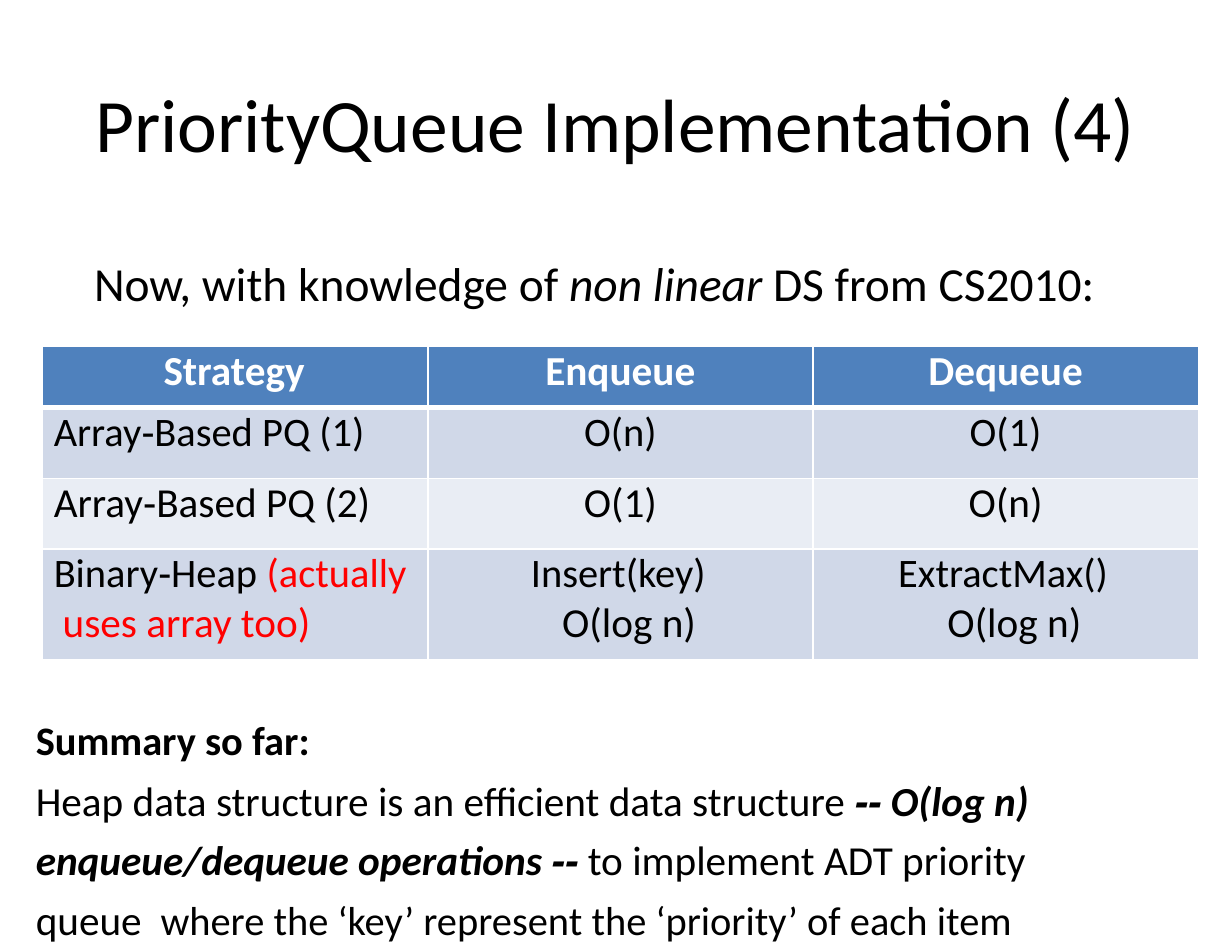
from lxml.etree import SubElement
from pptx import Presentation
from pptx.dml.color import RGBColor
from pptx.enum.text import PP_ALIGN
from pptx.oxml.ns import qn
from pptx.util import Inches, Pt


def color(hex_value):
    return RGBColor.from_string(hex_value)


def write(paragraph, runs, left=0, first=0, **formats):
    """Fill a paragraph with (text, size, font values) runs; "\\n" breaks the line."""
    for name, value in formats.items():
        setattr(paragraph, name, value)
    if left:
        properties = paragraph._p.get_or_add_pPr()
        properties.set("marL", str(Inches(left)))
        properties.set("indent", str(Inches(first)))
    for text, size, font_values in runs:
        if text == "\n":
            paragraph.add_line_break()
            continue
        run = paragraph.add_run()
        run.text = text
        values = {"name": "Calibri", "size": Pt(size), "bold": False, **font_values}
        font_color = values.pop("color", "000000")
        for name, value in values.items():
            setattr(run.font, name, value)
        run.font.color.rgb = color(font_color)


presentation = Presentation()
presentation.slide_width = Inches(11)
presentation.slide_height = Inches(8.5)
slide = presentation.slides.add_slide(presentation.slide_layouts[6])

BOLD = {"bold": True}
ITALIC = {"italic": True}
BOLD_ITALIC = {"bold": True, "italic": True}
RED = {"color": "FF0000"}
HEADER = {"bold": True, "color": "FFFFFF"}
BREAK = ("\n", 0, {})
NO_MARGINS = dict.fromkeys(
    ("margin_left", "margin_top", "margin_right", "margin_bottom"), 0)

# Title, lead-in and summary: position, then paragraphs as (runs, formats)
text_boxes = [
    ((0.84, 0.69, 9.31, 0.86), [
        ([("PriorityQueue Implementation (4)", 48.5, {})], {}),
    ]),
    ((0.83, 2.27, 9.05, 0.54), [
        ([("Now, with knowledge of ", 30.5, {}),
          ("non linear ", 30.5, ITALIC),
          ("DS from CS2010:", 30.5, {})], {}),
    ]),
    ((0.31, 6.3, 9.83, 1.79), [
        ([("Summary so far:", 26, BOLD)], {"line_spacing": 1.2}),
        ([("Heap data structure is an efficient data structure ", 26.5, {}),
          ("‐‐ O(log n) enqueue/dequeue operations ‐‐ ", 26.5, BOLD_ITALIC),
          ("to implement ADT priority queue  ", 26.5, {}),
          ("where the ‘key’ represent the ‘priority’ of each item", 26, {})],
         {"line_spacing": 1.2, "space_before": Pt(1.1)}),
    ]),
]
for position, paragraphs in text_boxes:
    text_frame = slide.shapes.add_textbox(*map(Inches, position)).text_frame
    for name, value in {**NO_MARGINS, "word_wrap": True}.items():
        setattr(text_frame, name, value)
    for index, (runs, formats) in enumerate(paragraphs):
        paragraph = text_frame.add_paragraph() if index else text_frame.paragraphs[0]
        write(paragraph, runs, left=0.01, **formats)

# Table cells as (runs, formats)
CENTER = {"alignment": PP_ALIGN.CENTER}
STRATEGY = {"left": 0.1}
rows = [
    [([("Strategy", 26.5, HEADER)], {"left": 1.08}),
     ([("Enqueue", 26.5, HEADER)], CENTER),
     ([("Dequeue", 26.5, HEADER)], CENTER)],
    [([("Array‐Based PQ (1)", 26, {})], STRATEGY),
     ([("O(n)", 26, {})], CENTER),
     ([("O(1)", 26, {})], CENTER)],
    [([("Array‐Based PQ (2)", 26.5, {})], STRATEGY),
     ([("O(1)", 26.5, {})], CENTER),
     ([("O(n)", 26.5, {})], CENTER)],
    [([("Binary‐Heap ", 26, {}), ("(actually", 26, RED), BREAK,
       ("uses array too)", 26.5, RED)], {"left": 0.18, "first": -0.08}),
     ([("Insert(key)", 26, {}), BREAK, ("O(log n)", 26.5, {})],
      {"left": 1.2, "first": -0.28}),
     ([("ExtractMax()", 26, {}), BREAK, ("O(log n)", 26.5, {})],
      {"left": 1.2, "first": -0.44})],
]
row_heights = [0.55, 0.63, 0.63, 0.99]
row_fills = ["4F81BD", "D0D8E8", "E9EDF4", "D0D8E8"]
column_width = 3.44

table = slide.shapes.add_table(
    len(rows), 3, Inches(0.38), Inches(3.09),
    Inches(3 * column_width), Inches(sum(row_heights))).table
for column in table.columns:
    column.width = Inches(column_width)

for row_index, (cells, height, fill) in enumerate(zip(rows, row_heights, row_fills)):
    table.rows[row_index].height = Inches(height)
    # The line under the header is three times as thick
    borders = {"lnL": 1.1, "lnR": 1.1,
               "lnT": 3.3 if row_index == 1 else 1.1,
               "lnB": 3.3 if row_index == 0 else 1.1}
    for column_index, (runs, formats) in enumerate(cells):
        cell = table.cell(row_index, column_index)
        for name, value in NO_MARGINS.items():
            setattr(cell, name, value)
        write(cell.text_frame.paragraphs[0], runs, **formats)
        cell_properties = cell._tc.get_or_add_tcPr()
        for side, width in borders.items():
            line = SubElement(cell_properties, qn(f"a:{side}"), w=str(Pt(width)))
            line_fill = SubElement(line, qn("a:solidFill"))
            SubElement(line_fill, qn("a:srgbClr"), val="FFFFFF")
        cell.fill.solid()
        cell.fill.fore_color.rgb = color(fill)
        # Borders come before the fill in the cell properties
        cell_properties.append(cell_properties.find(qn("a:solidFill")))

presentation.save("out.pptx")
